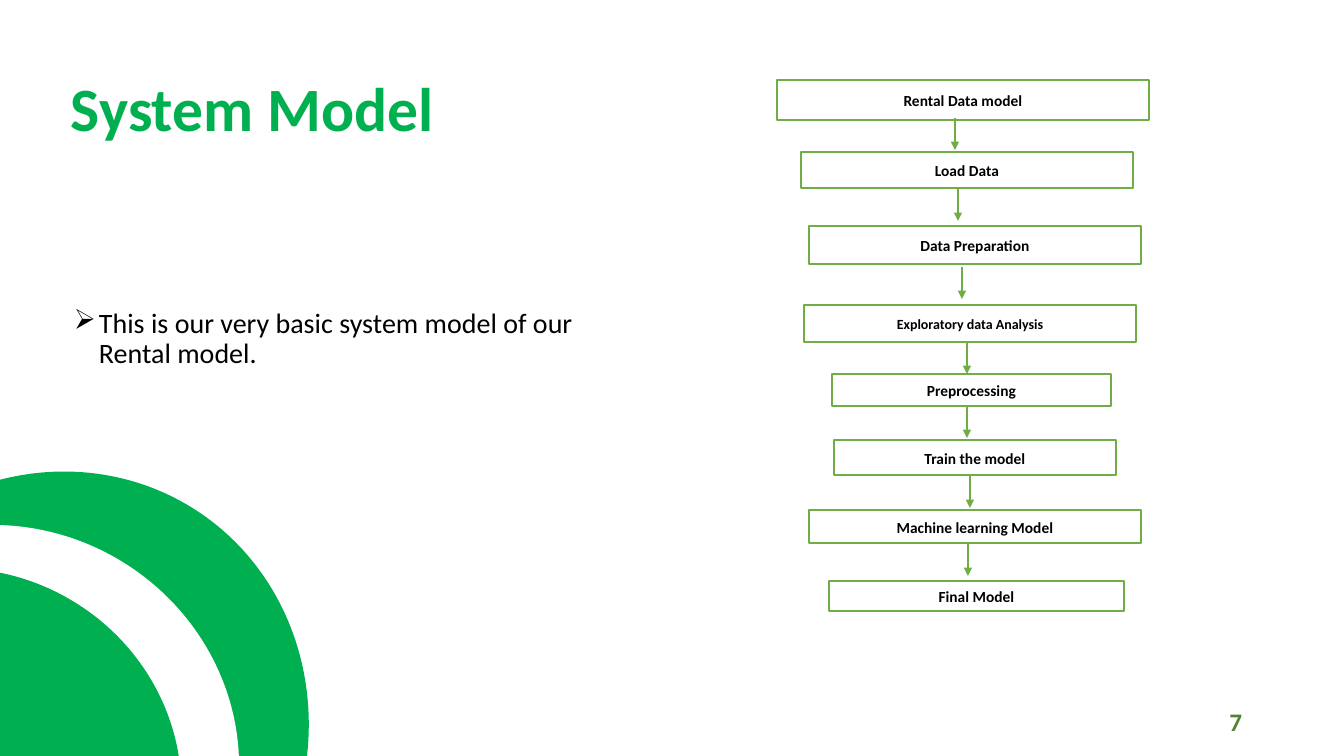
"""Build the System Model slide: a title, one point and a flow of eight steps."""
from dataclasses import dataclass

from lxml import etree
from pptx import Presentation
from pptx.dml.color import RGBColor
from pptx.enum.shapes import MSO_CONNECTOR, MSO_SHAPE
from pptx.enum.text import MSO_ANCHOR, PP_ALIGN
from pptx.oxml.ns import qn
from pptx.util import Pt

RECT, OVAL = MSO_SHAPE.RECTANGLE, MSO_SHAPE.OVAL
LINE = MSO_CONNECTOR.STRAIGHT
TOP, MIDDLE = MSO_ANCHOR.TOP, MSO_ANCHOR.MIDDLE
LEFT, CENTER, RIGHT = PP_ALIGN.LEFT, PP_ALIGN.CENTER, PP_ALIGN.RIGHT
SCALE = 914400 / 100.8


@dataclass(frozen=True)
class Theme:
    font: str = "Calibri"
    green: str = "00B050"
    edge: str = "70AD47"
    dark: str = "548235"
    white: str = "FFFFFF"
    black: str = "000000"
    title: int = 44
    body: int = 20
    page: int = 18
    step: int = 11
    small: int = 10


@dataclass(frozen=True)
class Box:
    left: int
    top: int
    width: int
    height: int


@dataclass(frozen=True)
class Style:
    size: int
    color: str
    bold: bool = True
    align: PP_ALIGN = LEFT
    anchor: MSO_ANCHOR = MIDDLE
    space: float = 1.0


@dataclass(frozen=True)
class Step:
    text: str
    box: Box
    size: int


@dataclass(frozen=True)
class Ring:
    box: Box
    color: str


@dataclass(frozen=True)
class Arrow:
    left: int
    top: int


THEME = Theme()
TURN = 210.5
REACH = 32
INDENT = 25

RINGS = [
    Ring(Box(-207, 467, 511, 547), THEME.green),
    Ring(Box(-236, 528, 478, 455), THEME.white),
    Ring(Box(-254, 571, 438, 417), THEME.green),
]
STEPS = [
    Step("Rental Data model", Box(777, 80, 372, 40), THEME.step),
    Step("Load Data", Box(801, 152, 332, 36), THEME.step),
    Step("Data Preparation", Box(809, 226, 332, 38), THEME.step),
    Step("Exploratory data Analysis", Box(804, 305, 332, 37), THEME.small),
    Step("Preprocessing", Box(832, 374, 279, 32), THEME.step),
    Step("Train the model", Box(834, 440, 282, 35), THEME.step),
    Step("Machine learning Model", Box(809, 510, 332, 33), THEME.step),
    Step("Final Model", Box(829, 581, 295, 30), THEME.step),
]
ARROWS = [
    Arrow(955, 118), Arrow(958, 189), Arrow(962, 267), Arrow(967, 342),
    Arrow(967, 406), Arrow(970, 476), Arrow(968, 544),
]


def emu(*sides: int) -> list[int]:
    """Turn pixels into EMU."""
    return [round(side * SCALE) for side in sides]


def place(box: Box) -> list[int]:
    """Give the place and size of a box in EMU."""
    return emu(box.left, box.top, box.width, box.height)


def tint(code: str) -> RGBColor:
    """Read a hex colour."""
    return RGBColor.from_string(code)


def write(shape, text: str, style: Style):
    """Write one styled run and return its paragraph."""
    frame = shape.text_frame
    frame.word_wrap = True
    frame.vertical_anchor = style.anchor
    para = frame.paragraphs[0]
    para.alignment = style.align
    para.line_spacing = style.space
    run = para.add_run()
    run.text = text
    run.font.name = THEME.font
    run.font.size = Pt(style.size)
    run.font.bold = style.bold
    run.font.color.rgb = tint(style.color)
    return para


def label(slide, text: str, box: Box, style: Style):
    """Add a text box and return its paragraph."""
    return write(slide.shapes.add_textbox(*place(box)), text, style)


def bullet(para, mark: str) -> None:
    """Give a paragraph a hanging bullet."""
    props = para._p.get_or_add_pPr()
    depth = emu(INDENT)[0]
    props.set("marL", str(depth))
    props.set("indent", str(-depth))
    etree.SubElement(props, qn("a:buChar")).set("char", mark)


def solid(slide, kind: MSO_SHAPE, box: Box, color: str):
    """Add a plain filled shape without an outline."""
    shape = slide.shapes.add_shape(kind, *place(box))
    shape.shadow.inherit = False
    shape.fill.solid()
    shape.fill.fore_color.rgb = tint(color)
    shape.line.fill.background()
    return shape


def draw_ring(slide, ring: Ring) -> None:
    """Draw one turned disc of the corner motif."""
    solid(slide, OVAL, ring.box, ring.color).rotation = TURN


def draw_step(slide, step: Step) -> None:
    """Draw one outlined step of the flow."""
    shape = solid(slide, RECT, step.box, THEME.white)
    shape.line.color.rgb = tint(THEME.edge)
    shape.line.width = Pt(1)
    write(shape, step.text, Style(step.size, THEME.black, align=CENTER, space=1.07))


def draw_arrow(slide, arrow: Arrow) -> None:
    """Draw one arrow that points down."""
    ends = emu(arrow.left, arrow.top, arrow.left, arrow.top + REACH)
    link = slide.shapes.add_connector(LINE, *ends)
    link.line.color.rgb = tint(THEME.edge)
    link.line.width = Pt(1.5)
    tail = etree.SubElement(link.line._get_or_add_ln(), qn("a:tailEnd"))
    tail.set("type", "triangle")
    etree.SubElement(link._element.spPr, qn("a:effectLst"))


def main() -> None:
    """Build and save the slide."""
    deck = Presentation()
    deck.slide_width, deck.slide_height = emu(1344, 756)
    slide = deck.slides.add_slide(deck.slide_layouts[6])
    label(slide, "System Model", Box(61, 38, 1159, 146),
          Style(THEME.title, THEME.green, space=0.9))
    point = label(slide, "This is our very basic system model of our Rental model.",
                  Box(64, 304, 572, 98),
                  Style(THEME.body, THEME.black, bold=False, anchor=TOP, space=0.9))
    bullet(point, "\u27a2")
    label(slide, "7", Box(950, 701, 302, 40),
          Style(THEME.page, THEME.dark, align=RIGHT))
    for ring in RINGS:
        draw_ring(slide, ring)
    for step in STEPS:
        draw_step(slide, step)
    for arrow in ARROWS:
        draw_arrow(slide, arrow)
    deck.save("out.pptx")


main()
